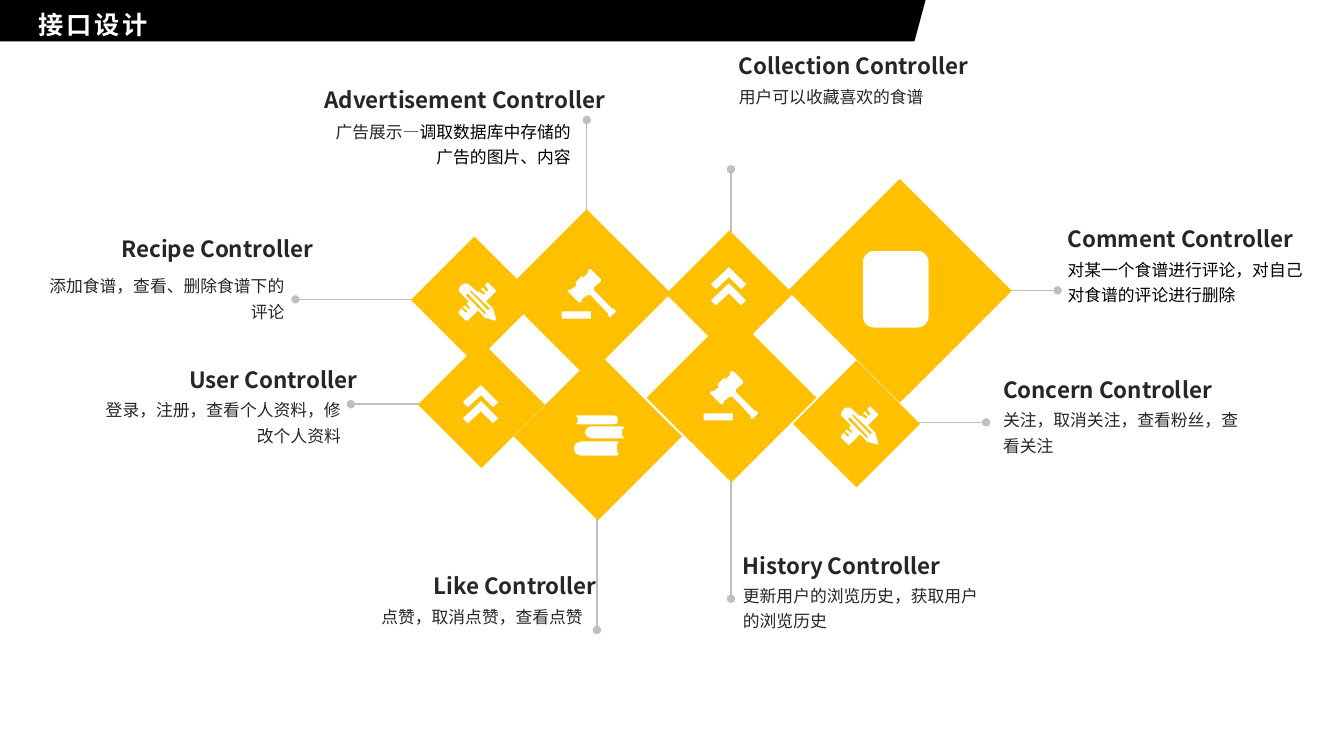
import pptx
import pptx.util
import pptx.dml.color
import pptx.enum.shapes
import pptx.enum.text
import pptx.oxml
import pptx.oxml.ns
from dataclasses import dataclass

Inches = pptx.util.Inches
Pt = pptx.util.Pt
SHAPE = pptx.enum.shapes.MSO_SHAPE
ALIGN = pptx.enum.text.PP_ALIGN


@dataclass
class Theme:
    font = "Noto Sans CJK SC"
    black = pptx.dml.color.RGBColor.from_string("000000")
    white = pptx.dml.color.RGBColor.from_string("FFFFFF")
    ink = pptx.dml.color.RGBColor.from_string("262626")
    amber = pptx.dml.color.RGBColor.from_string("FFC000")
    rule = pptx.dml.color.RGBColor.from_string("BFBFBF")
    title = Pt(18)
    name = Pt(16)
    body = Pt(12)


theme = Theme()


def add_text(s, box, parts, size, bold=False, align=ALIGN.LEFT, spacing=None, wrap=True):
    """Add a one-paragraph text box; parts is a list of (text, colour)."""
    sp = s.shapes.add_textbox(*map(Inches, box))
    tf = sp.text_frame
    tf.word_wrap = wrap
    tf.auto_size = pptx.enum.text.MSO_AUTO_SIZE.SHAPE_TO_FIT_TEXT
    p = tf.paragraphs[0]
    p.alignment = align
    p.line_spacing = spacing
    for text, color in parts:
        r = p.add_run()
        r.text = text
        r.font.size = size
        r.font.bold = bold
        r.font.name = theme.font
        r.font.color.rgb = color
        ea = pptx.oxml.parse_xml(f'<a:ea {pptx.oxml.ns.nsdecls("a")} typeface="{theme.font}"/>')
        r.font._element.find(pptx.oxml.ns.qn("a:latin")).addnext(ea)
    return sp


def add_outline(s, left, top, contours, color):
    """Add a filled outline; points are hundredths of an inch from left, top."""
    fb = s.shapes.build_freeform(*contours[0][0], scale=Inches(0.01))
    fb.add_line_segments(contours[0][1:])
    for contour in contours[1:]:
        fb.move_to(*contour[0])
        fb.add_line_segments(contour[1:])
    sp = fb.convert_to_shape(Inches(left), Inches(top))
    sp.shadow.inherit = False
    sp.fill.solid()
    sp.fill.fore_color.rgb = color
    sp.line.fill.background()


# Icon outlines
chevrons = [[(18, y), (35, y + 17), (30, y + 22), (18, y + 10), (5, y + 22), (0, y + 17)]
            for y in (0, 16)]
gavel = [
    [(0, 42), (29, 42), (29, 49), (0, 49)],
    [(28, 0), (30, 1), (39, 10), (39, 12), (37, 14), (32, 18), (32, 21), (51, 40), (52, 39),
     (54, 42), (48, 48), (46, 46), (47, 45), (28, 25), (27, 26), (25, 26), (20, 30), (20, 32),
     (18, 33), (16, 32), (7, 23), (6, 22), (7, 21), (8, 20), (10, 20), (15, 16), (14, 15),
     (14, 13), (19, 8), (20, 7), (22, 8), (26, 4), (26, 1)],
]
books = [
    [(43, 28), (43, 37), (45, 38), (43, 40), (7, 40), (2, 38), (0, 33), (2, 28), (7, 26),
     (43, 26), (45, 27)],
    [(49, 21), (48, 21), (48, 14), (50, 13), (49, 11), (17, 11), (13, 13), (11, 17), (13, 21),
     (17, 23), (49, 23), (50, 22)],
    [(4, 7), (2, 8), (4, 9), (39, 9), (43, 8), (44, 5), (43, 1), (39, 0), (4, 0), (2, 1), (4, 2)],
]
pencil = [
    [(35, 26), (28, 19), (38, 9), (38, 8), (31, 1), (30, 0), (29, 1), (27, 3), (30, 7), (30, 9),
     (28, 9), (25, 5), (23, 7), (27, 10), (27, 12), (25, 12), (21, 9), (20, 10), (11, 2), (8, 1),
     (5, 2), (2, 5), (1, 8), (2, 10), (11, 19), (9, 21), (12, 25), (12, 26), (11, 27), (7, 23),
     (5, 25), (9, 28), (9, 30), (7, 30), (4, 26), (1, 29), (1, 31), (8, 38), (10, 38), (20, 28),
     (26, 34), (26, 35), (37, 38), (38, 38), (38, 36)],
    [(27, 32), (8, 13), (10, 11), (28, 30)],
    [(30, 28), (12, 9), (13, 8), (32, 26)],
]

# Each controller: name, name box, description, description box, on the left side,
# tile (left, top, side), leader line, icon and its corner
controllers = [
    ("Comment Controller", (10.49, 2.18, 2.51, 0.37),
     [("对某一个食谱进行评论，对自己对食谱的评论进行删除", theme.black)], (10.49, 2.48, 2.65, 0.61),
     False, (8.14, 2.1, 1.57), (9.71, 2.88, 10.49, 2.88), None, (8.56, 2.49)),
    ("User Controller", (1.75, 3.58, 1.92, 0.37),
     [("登录，注册，查看个人资料，修改个人资料", theme.ink)], (0.83, 3.87, 2.65, 0.61),
     True, (4.33, 3.57, 0.89), (4.26, 4.01, 3.48, 4.01), chevrons, (4.59, 3.82)),
    ("Like Controller", (4.18, 5.63, 1.86, 0.37),
     [("点赞，取消点赞，查看点赞", theme.ink)], (3.23, 5.92, 2.65, 0.35),
     True, (5.34, 3.74, 1.18), (5.92, 5.06, 5.92, 6.25), books, (5.69, 4.12)),
    ("History Controller", (7.27, 5.43, 2.24, 0.37),
     [("更新用户的浏览历史，获取用户的浏览历史", theme.ink)], (7.27, 5.71, 2.65, 0.61),
     False, (6.66, 3.35, 1.19), (7.25, 4.74, 7.25, 5.94), gavel, (6.98, 3.68)),
    ("Concern Controller", (9.85, 3.68, 2.34, 0.37),
     [("关注，取消关注，查看粉丝，查看关注", theme.ink)], (9.85, 3.97, 2.65, 0.61),
     False, (8.05, 3.76, 0.89), (8.99, 4.19, 9.78, 4.19), pencil, (8.33, 4.03)),
    ("Recipe Controller", (1.08, 2.28, 2.15, 0.37),
     [("添加食谱，查看、删除食谱下的评论", theme.ink)], (0.27, 2.64, 2.65, 0.61),
     True, (4.26, 2.53, 0.89), (4.15, 2.97, 2.93, 2.97), pencil, (4.54, 2.8)),
    ("Advertisement Controller", (3.07, 0.81, 3.08, 0.37),
     [("广告展示—", theme.ink), ("调取数据库中存储的广告的图片、内容", theme.black)],
     (3.11, 1.11, 2.65, 0.61),
     True, (5.23, 2.32, 1.18), (5.82, 2.09, 5.82, 1.19), gavel, (5.57, 2.67)),
    ("Collection Controller", (7.23, 0.47, 2.54, 0.37),
     [("用户可以收藏喜欢的食谱", theme.ink)], (7.23, 0.76, 2.65, 0.35),
     False, (6.79, 2.47, 0.89), (7.25, 2.3, 7.25, 1.68), chevrons, (7.05, 2.65)),
]

prs = pptx.Presentation()
prs.slide_width = Inches(13.33)
prs.slide_height = Inches(7.5)
s = prs.slides.add_slide(prs.slide_layouts[6])

# Title bar
add_outline(s, 0, 0, [[(918, 0), (0, 0), (0, 41), (907, 41)]], theme.black)
title = add_text(s, (0.28, -0.02, 4.01, 0.46), [("接口设计", theme.white)], theme.title,
                 bold=True, spacing=1.2)
title.text_frame.paragraphs[0].runs[0].font._element.set("spc", "200")

for name, name_box, parts, body_box, on_left, tile, leader, icon, corner in controllers:
    # Leader line with a round end
    line = s.shapes.add_connector(pptx.enum.shapes.MSO_CONNECTOR.STRAIGHT, *map(Inches, leader))
    line.line.color.rgb = theme.rule
    line.line.width = Pt(1)
    ns = pptx.oxml.ns.nsdecls("a")
    line.line._get_or_add_ln().append(pptx.oxml.parse_xml(f'<a:tailEnd {ns} type="oval"/>'))
    line._element.spPr.append(pptx.oxml.parse_xml(f"<a:effectLst {ns}/>"))

    # Tile: a square standing on its corner
    left, top, side = tile
    sp = s.shapes.add_shape(SHAPE.RECTANGLE, *map(Inches, (left, top, side, side)))
    sp.rotation = 315
    sp.shadow.inherit = False
    sp.fill.solid()
    sp.fill.fore_color.rgb = theme.amber
    sp.line.fill.background()

    # Icon, or a plain rounded block
    if icon:
        add_outline(s, *corner, icon, theme.white)
    else:
        sp = s.shapes.add_shape(SHAPE.ROUNDED_RECTANGLE, *map(Inches, (*corner, 0.65, 0.76)))
        sp.shadow.inherit = False
        sp.fill.solid()
        sp.fill.fore_color.rgb = theme.white
        sp.line.fill.background()

    # Name and description
    add_text(s, name_box, [(name, theme.ink)], theme.name, bold=True, wrap=False,
             align=ALIGN.CENTER if on_left else ALIGN.LEFT)
    add_text(s, body_box, parts, theme.body, spacing=1.25,
             align=ALIGN.RIGHT if on_left else ALIGN.LEFT)

prs.save("out.pptx")
